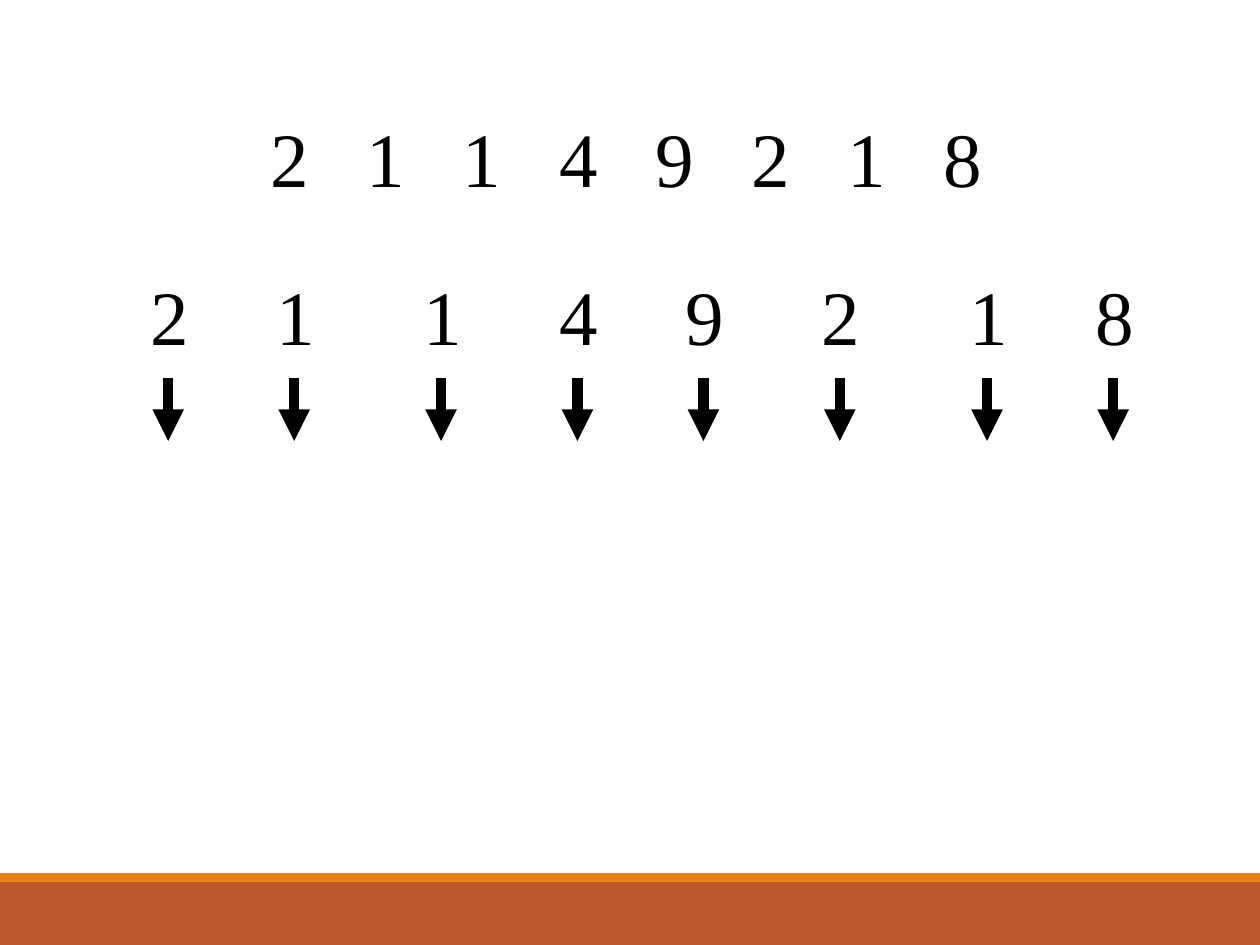
from lxml import etree
from pptx import Presentation
from pptx.dml.color import RGBColor
from pptx.enum.shapes import MSO_CONNECTOR, MSO_SHAPE
from pptx.enum.text import MSO_AUTO_SIZE
from pptx.oxml.ns import qn
from pptx.util import Cm, Pt

COLORS = {"text": "000000", "band": "BD582C", "stripe": "E48312"}
DIGITS = "21149218"
DIGIT_CENTERS = [3.39, 5.93, 8.89, 11.64, 14.18, 16.93, 19.9, 22.44]
DIGIT_PITCH = 1.94
SLIDE_WIDTH, SLIDE_HEIGHT = 25.4, 19.05


def color(name):
    return RGBColor.from_string(COLORS[name])


def add_band(slide, top, height, fill):
    band = slide.shapes.add_shape(
        MSO_SHAPE.RECTANGLE, Cm(0), Cm(top), Cm(SLIDE_WIDTH), Cm(height))
    band.shadow.inherit = False
    band.fill.solid()
    band.fill.fore_color.rgb = color(fill)
    band.line.fill.background()


def add_text(slide, text, left, top, width, wrap):
    box = slide.shapes.add_textbox(Cm(left), Cm(top), Cm(width), Cm(2.13))
    frame = box.text_frame
    frame.word_wrap = wrap
    frame.auto_size = MSO_AUTO_SIZE.SHAPE_TO_FIT_TEXT
    frame.text = text
    return frame


def format_digits(paragraph):
    font = paragraph.font
    font.name = "Times New Roman"
    font.size = Pt(44)
    font.color.rgb = color("text")


def add_number_row(slide):
    """Spread the digits of the number over evenly spaced tab stops."""
    frame = add_text(slide, "\t".join(DIGITS), 1.27, 2.11, 22.86, True)
    frame.margin_left = Cm(4.18)
    paragraph = frame.paragraphs[0]
    tab_list = etree.SubElement(paragraph._p.get_or_add_pPr(), qn("a:tabLst"))
    for stop in range(1, len(DIGITS)):
        etree.SubElement(tab_list, qn("a:tab"),
                         pos=str(Cm(DIGIT_PITCH * stop)), algn="l")
    format_digits(paragraph)


def add_down_arrow(slide, center):
    arrow = slide.shapes.add_connector(
        MSO_CONNECTOR.STRAIGHT, Cm(center), Cm(7.62), Cm(center), Cm(8.89))
    arrow.line.width = Pt(6)
    arrow.line.color.rgb = color("text")
    etree.SubElement(arrow.line._get_or_add_ln(), qn("a:tailEnd"), type="triangle")
    etree.SubElement(arrow._element.spPr, qn("a:effectLst"))


def main():
    prs = Presentation()
    prs.slide_width, prs.slide_height = Cm(SLIDE_WIDTH), Cm(SLIDE_HEIGHT)
    slide = prs.slides.add_slide(prs.slide_layouts[6])

    add_band(slide, 17.78, 1.27, "band")
    add_band(slide, 17.6, 0.18, "stripe")
    add_number_row(slide)
    for digit, center in zip(DIGITS, DIGIT_CENTERS):
        frame = add_text(slide, digit, center - 0.61, 5.28, 1.27, False)
        format_digits(frame.paragraphs[0])
        add_down_arrow(slide, center)

    prs.save("out.pptx")


if __name__ == "__main__":
    main()
